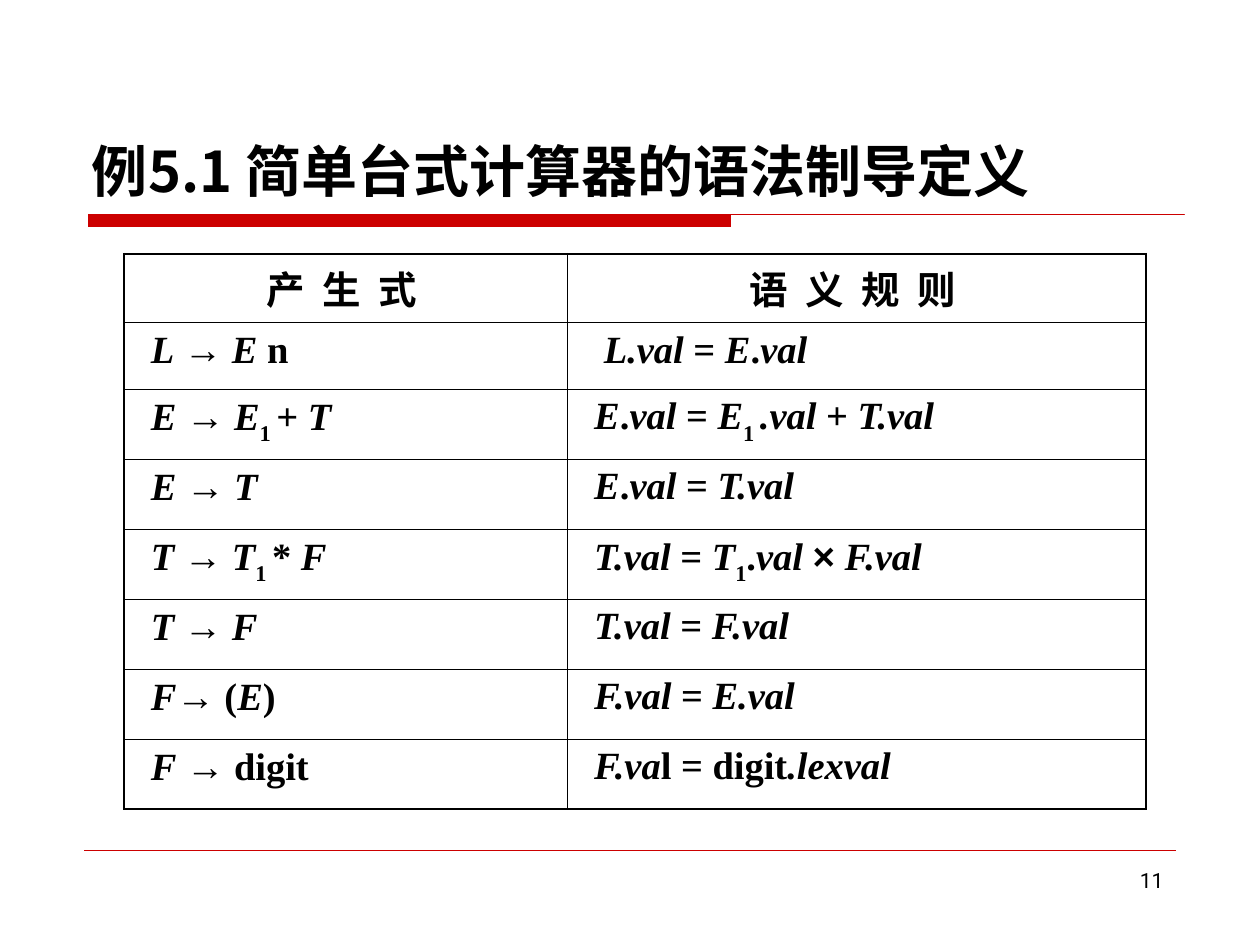
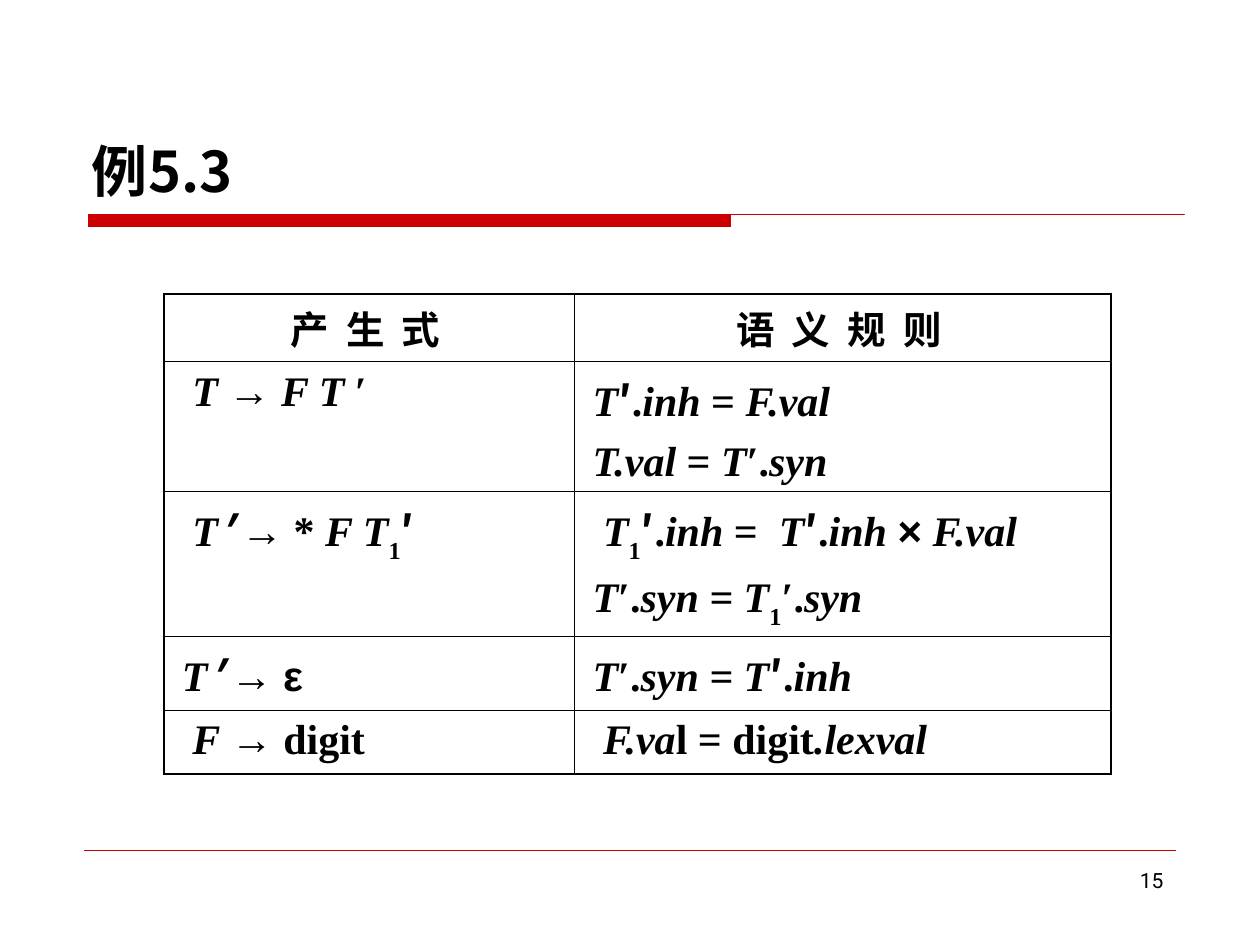
from itertools import groupby

from lxml import etree
from pptx import Presentation
from pptx.dml.color import RGBColor
from pptx.enum.shapes import MSO_CONNECTOR
from pptx.enum.text import MSO_ANCHOR, PP_ALIGN
from pptx.oxml.ns import qn
from pptx.util import Inches, Pt

COLORS = {"ink": "000000", "accent": "CC0000"}
CJK, SERIF, SANS, NUMBER = "Noto Sans CJK SC", "Times New Roman", "Arial", "Roboto"
WIDTH, HEIGHT = Inches(10), Inches(7.5)
COL, ROW = WIDTH // 100, HEIGHT // 75
OUTER, INNER = Pt(1.08), Pt(0.45)
ITALIC, SUBSCRIPT, CJK_MARK, DEEPER = "/", "_", "^", ">"
SYMBOLS = "→×ε"
HEADERS = ("产 生 式", "语 义 规 则")

CALCULATOR = [
    ("/L/ → /E/ n", ">/L.val/ = /E/./val/"),
    ("/E/ → /E/_1 _+ /T/", "/E/./val/ = /E/_1 _/.val/ + /T.val/"),
    ("/E/ → /T/", "/E/./val/ = /T.val/"),
    ("/T/ → /T/_1 _* /F/", "/T.val/ = /T/_1_./val/ × /F.val/"),
    ("/T/ → /F/", "/T.val/ = /F.val/"),
    ("/F/→ (/E/)", "/F.val/ = /E.val/"),
    ("/F/ → digit", "/F.va/l = digit/.lexval/"),
]
TERM = [
    (">/T/ → /F T/ ′", "/T/^′^./inh/ = /F.val/\n/T.val/ = /T/′./syn/"),
    (">/T^′ ^/→ * /F T/_1_^′^",
     ">/T/_1_^′^./inh/ =  /T/^′^./inh/ × /F.val/\n/T/′./syn = T/_1_′./syn/"),
    ("/T^′ ^/→ ε", "/T/′./syn = T/^′^./inh/"),
    (">/F/ → digit", ">/F.va/l = digit/.lexval/"),
]


def color(name):
    return RGBColor.from_string(COLORS[name])


def style(r, font, size, bold=True):
    r.font.name, r.font.size, r.font.bold = font, Pt(size), bold
    r.font.color.rgb = color("ink")
    ea = etree.SubElement(r.font._element, qn("a:ea"))
    ea.set("typeface", font)


def add_title(s, text, left, top, width, height):
    sp = s.shapes.title
    sp.left, sp.top = int(left * COL), int(top * ROW)
    sp.width, sp.height = int(width * COL), int(height * ROW)
    tf = sp.text_frame
    tf.text = text
    tf.vertical_anchor = MSO_ANCHOR.BOTTOM
    p = tf.paragraphs[0]
    p.alignment = PP_ALIGN.LEFT
    style(p.runs[0], CJK, 32)


def add_title_rule(s, left, top, right, band_width, band_height):
    band_right, bottom = left + band_width, top + band_height
    builder = s.shapes.build_freeform(left, top, scale=COL)
    builder.add_line_segments(
        [(right, top), (band_right, top), (band_right, bottom), (left, bottom)])
    rule = builder.convert_to_shape()
    rule.fill.solid()
    rule.fill.fore_color.rgb = color("accent")
    rule.line.color.rgb = color("accent")
    rule.line.width = Pt(0.75)
    rule.shadow.inherit = False


def add_footer(s, number, left, top, right, number_width, number_height):
    y = int(top * ROW)
    line = s.shapes.add_connector(
        MSO_CONNECTOR.STRAIGHT, int(left * COL), y, int(right * COL), y)
    line.line.color.rgb = color("accent")
    line.line.width = Pt(0.25)
    etree.SubElement(line._element.spPr, qn("a:effectLst"))
    sp = s.shapes.add_textbox(
        int((right - number_width) * COL), int((top + 0.85) * ROW),
        int(number_width * COL), int(number_height * ROW))
    tf = sp.text_frame
    tf.word_wrap = True
    tf.text = str(number)
    p = tf.paragraphs[0]
    p.alignment = PP_ALIGN.RIGHT
    style(p.runs[0], NUMBER, 12, bold=False)


def marked_characters(text):
    active = set()
    for ch in text:
        if ch in (ITALIC, SUBSCRIPT, CJK_MARK):
            active ^= {ch}
        elif ch in SYMBOLS:
            yield ch, (SANS, False, False)
        else:
            font = CJK if CJK_MARK in active else SERIF
            yield ch, (font, ITALIC in active, SUBSCRIPT in active)


def write_formula(p, text, size, spaces):
    depth = spaces + text.startswith(DEEPER)
    p.space_before = Pt(size / 4)
    pPr = p._p.get_or_add_pPr()
    pPr.set("marL", str(Pt(depth * size / 4)))
    pPr.set("indent", "0")
    for look, chars in groupby(marked_characters(text.lstrip(DEEPER)), lambda c: c[1]):
        font, italic, subscript = look
        r = p.add_run()
        r.text = "".join(ch for ch, _ in chars)
        style(r, font, size)
        r.font.italic = italic
        if subscript:
            r.font._element.set("baseline", "-30000")


def write_header(cell, text):
    cell.margin_right = Inches(0.12)
    p = cell.text_frame.paragraphs[0]
    p.text = text
    p.alignment = PP_ALIGN.CENTER
    p.space_before = Pt(5.5)
    style(p.runs[0], CJK, 22)
    p.runs[0].font._element.set("spc", "250")


def frame_cell(cell, on_edge):
    cell.margin_left = cell.margin_right = Inches(0.06)
    cell.margin_top = cell.margin_bottom = Inches(0.05)
    tcPr = cell._tc.get_or_add_tcPr()
    for side, outer in on_edge.items():
        ln = etree.SubElement(tcPr, qn(f"a:ln{side}"), w=str(OUTER if outer else INNER))
        fill = etree.SubElement(ln, qn("a:solidFill"))
        etree.SubElement(fill, qn("a:srgbClr"), val=COLORS["ink"])
    cell.fill.background()


def add_rules_table(s, rules, left, top, columns, heights, size, spaces):
    rows = [HEADERS] + rules
    table = s.shapes.add_table(
        len(rows), len(columns), int(left * COL), int(top * ROW),
        int(sum(columns) * COL), int(sum(heights) * ROW)).table
    table.first_row = table.horz_banding = False
    for column, width in zip(table.columns, columns):
        column.width = int(width * COL)
    for i, (row, height) in enumerate(zip(rows, heights)):
        table.rows[i].height = int(height * ROW)
        for j, text in enumerate(row):
            cell = table.cell(i, j)
            frame_cell(cell, {"L": j == 0, "R": j == len(columns) - 1,
                              "T": i == 0, "B": i == len(rows) - 1})
            if i == 0:
                write_header(cell, text)
                continue
            tf = cell.text_frame
            for k, line in enumerate(text.split("\n")):
                p = tf.add_paragraph() if k else tf.paragraphs[0]
                write_formula(p, line, size, spaces)


def add_example_slide(prs, title, number, rules, **layout):
    s = prs.slides.add_slide(prs.slide_layouts[5])
    add_title_rule(s, 6.67, 17.1, 93.7, 50.9, 1.2)
    add_footer(s, number, 6.67, 67.5, 93.33, 21.7, 5.2)
    add_rules_table(s, rules, **layout)
    add_title(s, title, 6.3, 3.37, 87.5, 13.3)


def main():
    prs = Presentation()
    prs.slide_width, prs.slide_height = WIDTH, HEIGHT
    add_example_slide(
        prs, "例5.1 简单台式计算器的语法制导定义", 11, CALCULATOR,
        left=9.84, top=20.14, columns=[35.2, 45.9], heights=[5.48, 5.25] + [5.56] * 6,
        size=22, spaces=2)
    add_example_slide(
        prs, "例5.3", 15, TERM,
        left=13, top=23.32, columns=[32.6, 42.6], heights=[5.4, 10.32, 11.5, 5.87, 4.8],
        size=24, spaces=1)
    prs.save("out.pptx")


if __name__ == "__main__":
    main()
